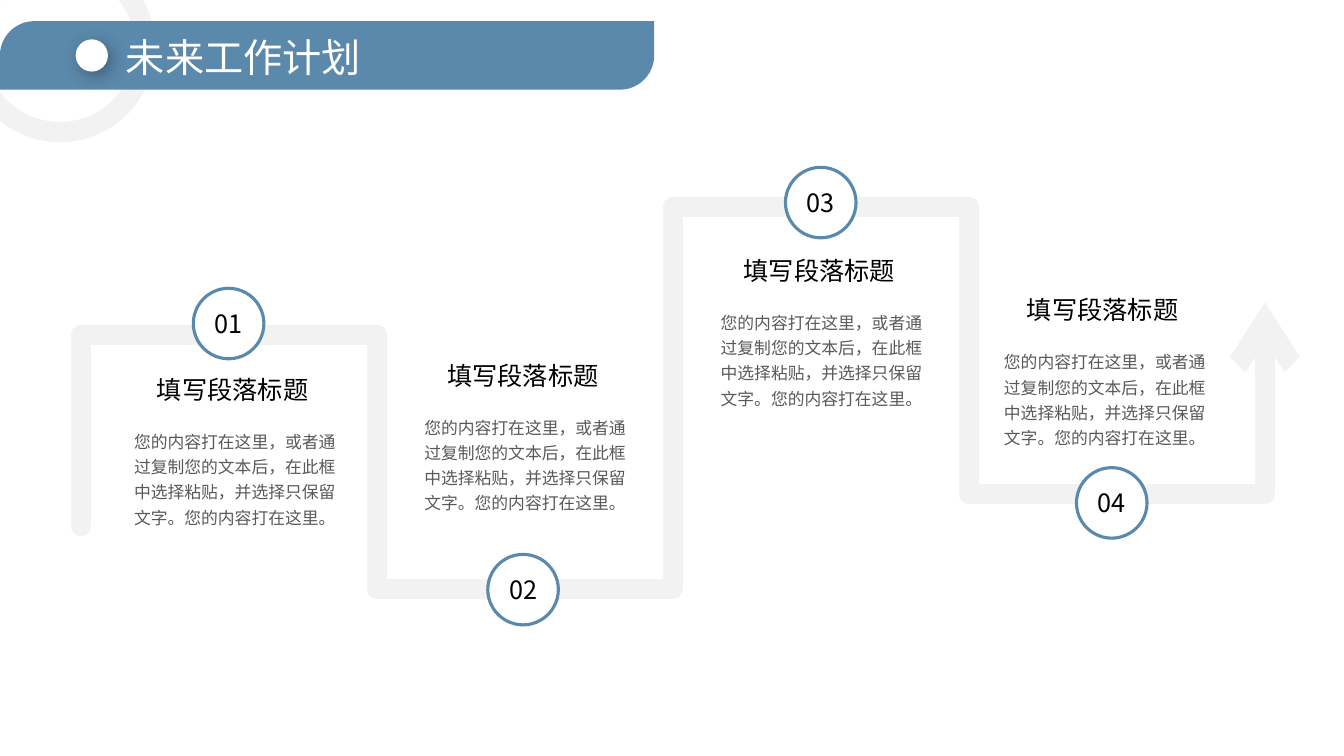
from dataclasses import dataclass
from lxml.etree import SubElement
from pptx import Presentation
from pptx.dml.color import RGBColor
from pptx.enum.shapes import MSO_SHAPE
from pptx.enum.text import MSO_ANCHOR, MSO_AUTO_SIZE, PP_ALIGN
from pptx.oxml.ns import qn
from pptx.util import Inches, Pt


@dataclass(frozen=True)
class Theme:
    font: str = "Noto Sans CJK SC"
    blue: str = "5B89AB"
    pale: str = "F2F2F2"
    white: str = "FFFFFF"
    black: str = "000000"
    grey: str = "595959"
    head: float = 28
    sub: float = 18
    body: float = 12
    lead: float = 18
    road: float = 14.25
    ring: float = 2.25


T = Theme()
WIDE, HIGH = Inches(13.33), Inches(7.5)
COL, ROW = WIDE / 100, HIGH / 100
LEG = 25.33
LABEL = "填写段落标题"
BODY = "您的内容打在这里，或者通过复制您的文本后，在此框中选择粘贴，并选择只保留文字。您的内容打在这里。"
# bar row, side of the legs, badge shift, title shift
STEPS = [
    (44.27, 1, (0, -1.47), (0.34, 5.2)),
    (77.87, -1, (-0.12, 0.13), (-0.09, -30.27)),
    (27.33, 1, (0, -0.53), (-0.07, 6.4)),
    (65.33, -1, (-0.38, 1.2), (-1.02, -26.4)),
]


def place(box):
    x, y, w, h = box
    return round(x * COL), round(y * ROW), round(w * COL), round(h * ROW)


def style(para, size, color):
    for run in para.runs:
        run.font.name = T.font
        run.font.size = Pt(size)
        run.font.color.rgb = RGBColor.from_string(color)
        SubElement(run.font._element, qn("a:ea"), typeface=T.font)


def add_solid(slide, kind, box, color, edge=None):
    shape = slide.shapes.add_shape(kind, *place(box))
    shape.shadow.inherit = False
    shape.fill.solid()
    shape.fill.fore_color.rgb = RGBColor.from_string(color)
    if edge:
        shape.line.color.rgb = RGBColor.from_string(edge)
        shape.line.width = Pt(T.ring)
    else:
        shape.line.fill.background()
    return shape


def add_text(slide, box, text, size, color, wrap=False, inset=True):
    area = slide.shapes.add_textbox(*place(box))
    frame = area.text_frame
    frame.word_wrap = wrap
    frame.auto_size = MSO_AUTO_SIZE.SHAPE_TO_FIT_TEXT
    if not inset:
        frame.margin_left = frame.margin_right = 0
        frame.margin_top = frame.margin_bottom = 0
    frame.text = text
    style(frame.paragraphs[0], size, color)
    return frame.paragraphs[0]


def add_glow(shape):
    effects = shape._element.spPr.find(qn("a:effectLst"))
    shade = SubElement(effects, qn("a:outerShdw"), blurRad=str(Pt(12)),
                       dist=str(Pt(4)), dir="2700000", algn="tl", rotWithShape="0")
    tint = SubElement(shade, qn("a:srgbClr"), val=T.black)
    SubElement(tint, qn("a:alpha"), val="30000")


def add_banner(slide, box):
    x, y, w, h = box
    ring = add_solid(slide, MSO_SHAPE.DONUT, (x - 2.63, y - 9.2, 14.18, 25.2), T.pale)
    ring.adjustments[0] = 0.106
    bar = add_solid(slide, MSO_SHAPE.ROUND_2_DIAG_RECTANGLE, box, T.blue)
    bar.adjustments[0], bar.adjustments[1] = 0.5, 0
    dot = add_solid(slide, MSO_SHAPE.OVAL, (x + 5.63, y + 2.4, 2.4, 4.27), T.white)
    add_glow(dot)
    add_text(slide, (x + 8.63, y + 0.93, 19.2, 7.6), "未来工作计划", T.head, T.white)


def add_road(slide, box, side, last):
    x, bar, w, leg = box
    end = bar + side * leg
    spots = [(x + w, end), (x + w, bar), (x, bar), (x, end)]
    start, *rest = [(round(a * COL), round(b * ROW)) for a, b in spots]
    pen = slide.shapes.build_freeform(*start)
    pen.add_line_segments(rest, close=False)
    road = pen.convert_to_shape()
    road.shadow.inherit = False
    road.fill.background()
    road.line.color.rgb = RGBColor.from_string(T.pale)
    road.line.width = Pt(T.road)
    line = road.line._get_or_add_ln()
    line.set("cap", "rnd")
    SubElement(line, qn("a:round"))
    if last:
        SubElement(line, qn("a:headEnd"), type="arrow")


def add_step(slide, box, number, badge, title):
    x, bar, w, _ = box
    mid = x + w / 2
    left, top = mid + title[0], bar + title[1]
    add_text(slide, (left - 5.67, top, 11.33, 4), LABEL, T.sub, T.black, inset=False)
    para = add_text(slide, (left - 7.42, top + 6.97, 15.08, 13.2), BODY,
                    T.body, T.grey, wrap=True, inset=False)
    para.alignment = PP_ALIGN.CENTER
    para.line_spacing = Pt(T.lead)

    spot = (mid + badge[0] - 2.63, bar + badge[1] - 4.67, 5.25, 9.33)
    disc = add_solid(slide, MSO_SHAPE.OVAL, spot, T.white, T.blue)
    frame = disc.text_frame
    frame.margin_left = frame.margin_right = 0
    frame.vertical_anchor = MSO_ANCHOR.MIDDLE
    frame.text = f"{number:02d}"
    frame.paragraphs[0].alignment = PP_ALIGN.CENTER
    style(frame.paragraphs[0], T.sub, T.black)


def add_path(slide, left, width):
    span = width / len(STEPS)
    cells = [(left + i * span, step[0], span, LEG) for i, step in enumerate(STEPS)]
    for cell, step in zip(cells, STEPS):
        add_road(slide, cell, step[1], step is STEPS[-1])
    for number, (cell, step) in enumerate(zip(cells, STEPS), 1):
        add_step(slide, cell, number, *step[2:])


def main():
    deck = Presentation()
    deck.slide_width, deck.slide_height = WIDE, HIGH
    slide = deck.slides.add_slide(deck.slide_layouts[6])
    add_banner(slide, (0, 2.8, 48.68, 9.07))
    add_path(slide, 6, 88.12)
    deck.save("out.pptx")


if __name__ == "__main__":
    main()
